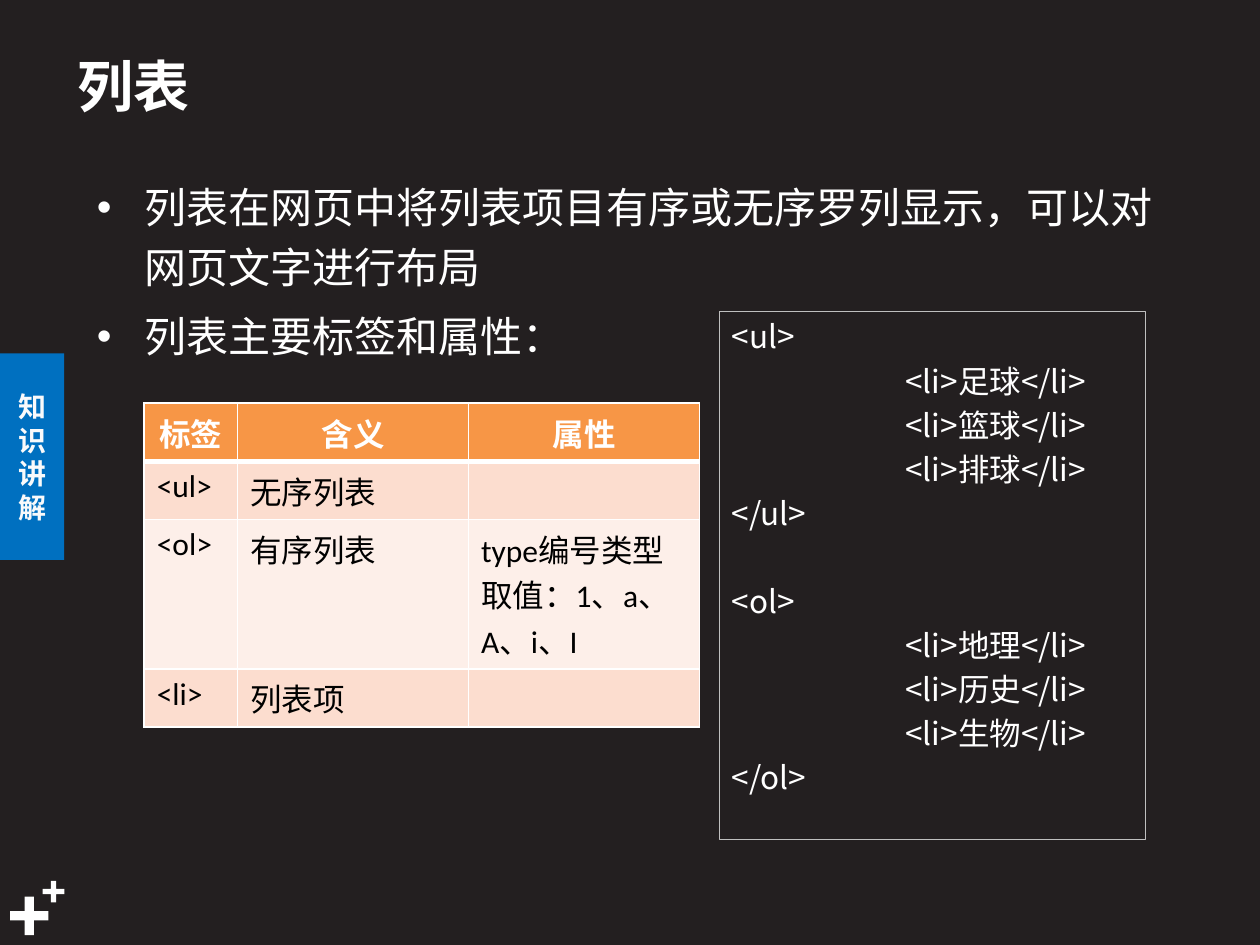
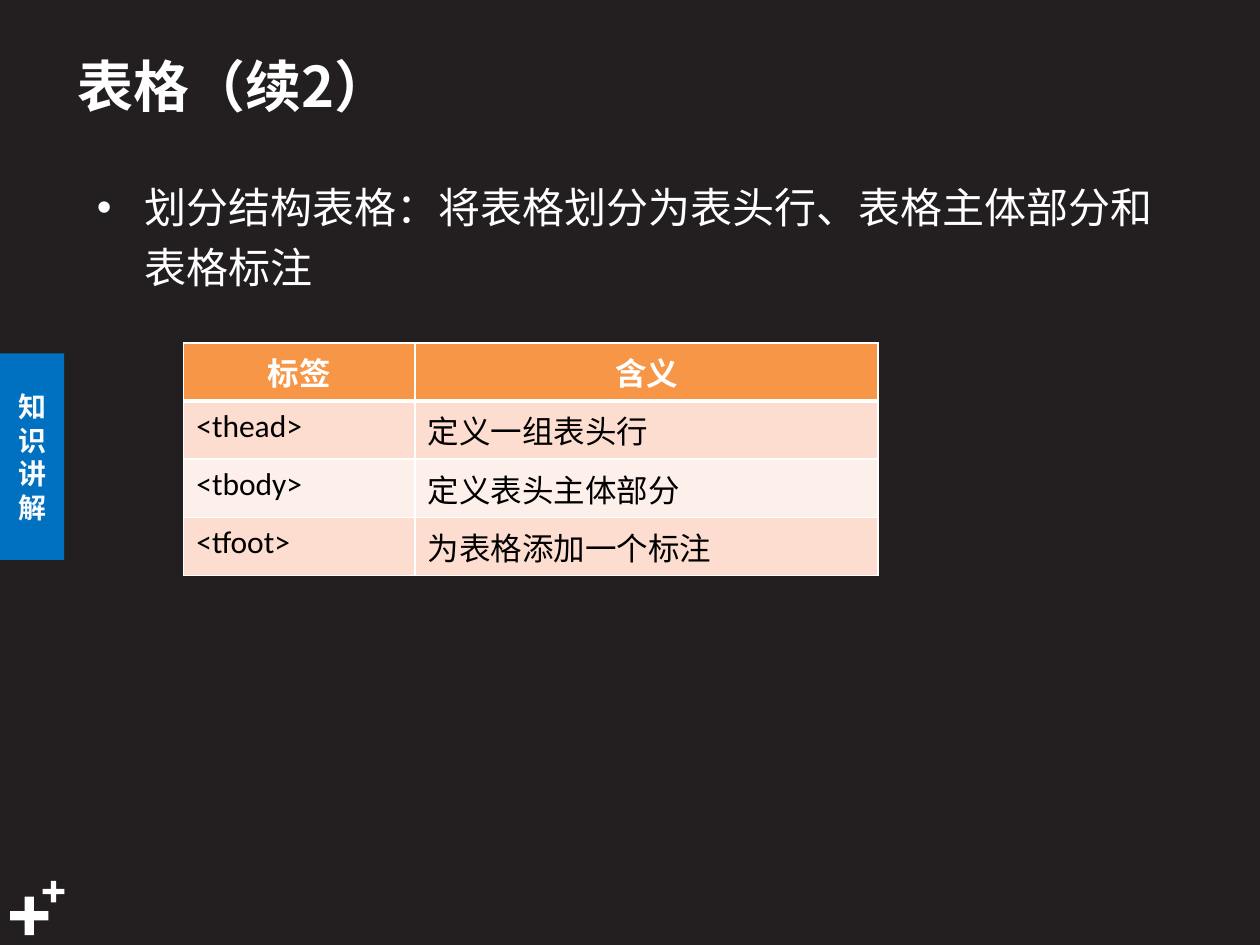
import pptx
import pptx.dml.color
import pptx.enum.shapes
import pptx.enum.text
import pptx.oxml
import pptx.oxml.ns
import pptx.util

Pt = pptx.util.Pt
Shape = pptx.enum.shapes.MSO_SHAPE
Align = pptx.enum.text.PP_ALIGN
Anchor = pptx.enum.text.MSO_ANCHOR

DARK, WHITE, BLACK = "231F20", "FFFFFF", "000000"
BLUE, PALE, GREY = "0070C0", "F9FAFB", "BFBFBF"
HEAD, BANDS = "F79646", ("FCDDCF", "FDEFE9")
SANS, LATIN = "Noto Sans CJK SC", "Calibri"
HANG = 27.36
ROW, TALL = 33.2, 85.6

POINTS = ["列表在网页中将列表项目有序或无序罗列显示，可以对网页文字进行布局",
          "列表主要标签和属性："]
LISTS = [["标签", "含义", "属性"],
         ["<ul>", "无序列表", ""],
         ["<ol>", "有序列表", "type编号类型\n取值：1、a、A、i、I"],
         ["<li>", "列表项", ""]]
CODE = [("ul", ["足球", "篮球", "排球"]),
        ("ol", ["地理", "历史", "生物"])]
PARTS = [["标签", "含义"],
         ["<thead>", "定义一组表头行"],
         ["<tbody>", "定义表头主体部分"],
         ["<tfoot>", "为表格添加一个标注"]]


def rgb(code):
    return pptx.dml.color.RGBColor.from_string(code)


def paint(fill, color):
    fill.solid()
    fill.fore_color.rgb = rgb(color)


def add_xml(parent, tag, **attrs):
    node = pptx.oxml.ns.qn(tag)
    child = parent.makeelement(node, attrs)
    parent.append(child)
    return child


def style(para, size, color=WHITE, bold=False, font=SANS):
    """Format every run, with the same font for Chinese text."""
    for run in para.runs:
        run.font.size = Pt(size)
        run.font.bold = bold
        run.font.name = font
        run.font.color.rgb = rgb(color)
        add_xml(run.font._element, "a:ea", typeface=SANS)


def indent(para, left, first=0):
    props = para._p.get_or_add_pPr()
    props.set("marL", str(Pt(left)))
    props.set("indent", str(Pt(first)))
    return props


def add_block(slide, kind, box, fill=None):
    block = slide.shapes.add_shape(kind, *map(Pt, box))
    block.shadow.inherit = False
    block.line.fill.background()
    if fill:
        paint(block.fill, fill)
    else:
        block.fill.background()
    return block


def add_box(slide, box):
    frame = slide.shapes.add_textbox(*map(Pt, box)).text_frame
    frame.word_wrap = True
    return frame


def add_title(slide, text):
    frame = add_box(slide, (37.2, 20.6, 532.8, 56))
    frame.vertical_anchor = Anchor.MIDDLE
    frame.text = text
    style(frame.paragraphs[0], 32, bold=True)


def add_side(slide):
    """Draw the section tab and the two plus signs."""
    for box in ((5.76, 512.4, 21.9, 21.9), (24.4, 503.3, 12.4, 12.4)):
        add_block(slide, Shape.CROSS, box, WHITE).adjustments[0] = 0.378
    tab = add_block(slide, Shape.RECTANGLE, (0, 202, 36.72, 118), BLUE)
    frame = tab.text_frame
    frame.word_wrap = True
    frame.vertical_anchor = Anchor.MIDDLE
    frame.text = "知识讲解"
    para = frame.paragraphs[0]
    para.alignment = Align.CENTER
    para.line_spacing = Pt(19.1)
    style(para, 16, PALE, bold=True)


def add_points(slide, points, height):
    frame = add_box(slide, (48.24, 94.7, 640.8, height))
    frame.text = "\n".join(points)
    for i, para in enumerate(frame.paragraphs):
        para.line_spacing = Pt(34.3)
        para.space_before = Pt(5 if i else 0)
        props = indent(para, HANG, -HANG)
        add_xml(props, "a:buFont", typeface="Arial")
        add_xml(props, "a:buChar", char="•")
        style(para, 24)


def add_edges(cell, base):
    """Draw white borders, the bottom one `base` points wide."""
    props = cell._tc.get_or_add_tcPr()
    for i, side in enumerate("LRTB"):
        width = base if side == "B" else 1
        edge = pptx.oxml.parse_xml(
            f'<a:ln{side} {pptx.oxml.ns.nsdecls("a")} w="{Pt(width)}">'
            f'<a:solidFill><a:srgbClr val="{WHITE}"/></a:solidFill>'
            f'</a:ln{side}>')
        props.insert(i, edge)


def add_grid(slide, left, top, widths, rows):
    heights = [TALL if "\n" in row[-1] else ROW for row in rows]
    frame = slide.shapes.add_table(
        len(rows), len(widths), Pt(left), Pt(top),
        Pt(sum(widths)), Pt(sum(heights)))
    table = frame.table
    for col, width in zip(table.columns, widths):
        col.width = Pt(width)
    for r, row in enumerate(rows):
        table.rows[r].height = Pt(heights[r])
        for c, text in enumerate(row):
            cell = table.cell(r, c)
            paint(cell.fill, BANDS[(r - 1) % 2] if r else HEAD)
            add_edges(cell, 1 if r else 3)
            cell.text_frame.text = text
            for para in cell.text_frame.paragraphs:
                para.alignment = Align.LEFT if r else Align.CENTER
                style(para, 18, BLACK if r else WHITE, not r, LATIN)


def add_code(slide, box, groups):
    block = add_block(slide, Shape.RECTANGLE, box)
    block.line.color.rgb = rgb(GREY)
    block.line.width = Pt(0.75)
    lines = []
    for tag, items in groups:
        lines.append(f"<{tag}>")
        lines += [f"<li>{item}</li>" for item in items]
        lines.append(f"</{tag}>")
    frame = block.text_frame
    frame.word_wrap = True
    frame.vertical_anchor = Anchor.TOP
    frame.margin_top = Pt(2)
    frame.text = "\n".join(lines)
    starts = [f"<{tag}>" for tag, _ in groups]
    for i, para in enumerate(frame.paragraphs):
        para.alignment = Align.JUSTIFY
        para.line_spacing = Pt(23)
        gap = 27.4 if para.text in starts else 2.2
        para.space_before = Pt(gap if i else 0)
        if para.text.startswith("<li>"):
            indent(para, HANG + 72)
        style(para, 18)


def add_slide(deck, title):
    slide = deck.slides.add_slide(deck.slide_layouts[6])
    paint(slide.background.fill, DARK)
    add_side(slide)
    add_title(slide, title)
    return slide


def main():
    deck = pptx.Presentation()
    deck.slide_width, deck.slide_height = Pt(720), Pt(540)

    slide = add_slide(deck, "列表")
    add_points(slide, POINTS, 118)
    add_grid(slide, 82.4, 230.4, (53.4, 132, 132), LISTS)
    add_code(slide, (411, 178, 243.6, 301.7), CODE)

    slide = add_slide(deck, "表格（续2）")
    add_points(slide, ["划分结构表格：将表格划分为表头行、表格主体部分和表格标注"], 80)
    add_grid(slide, 105, 196, (132.2, 264.6), PARTS)

    deck.save("out.pptx")


if __name__ == "__main__":
    main()
